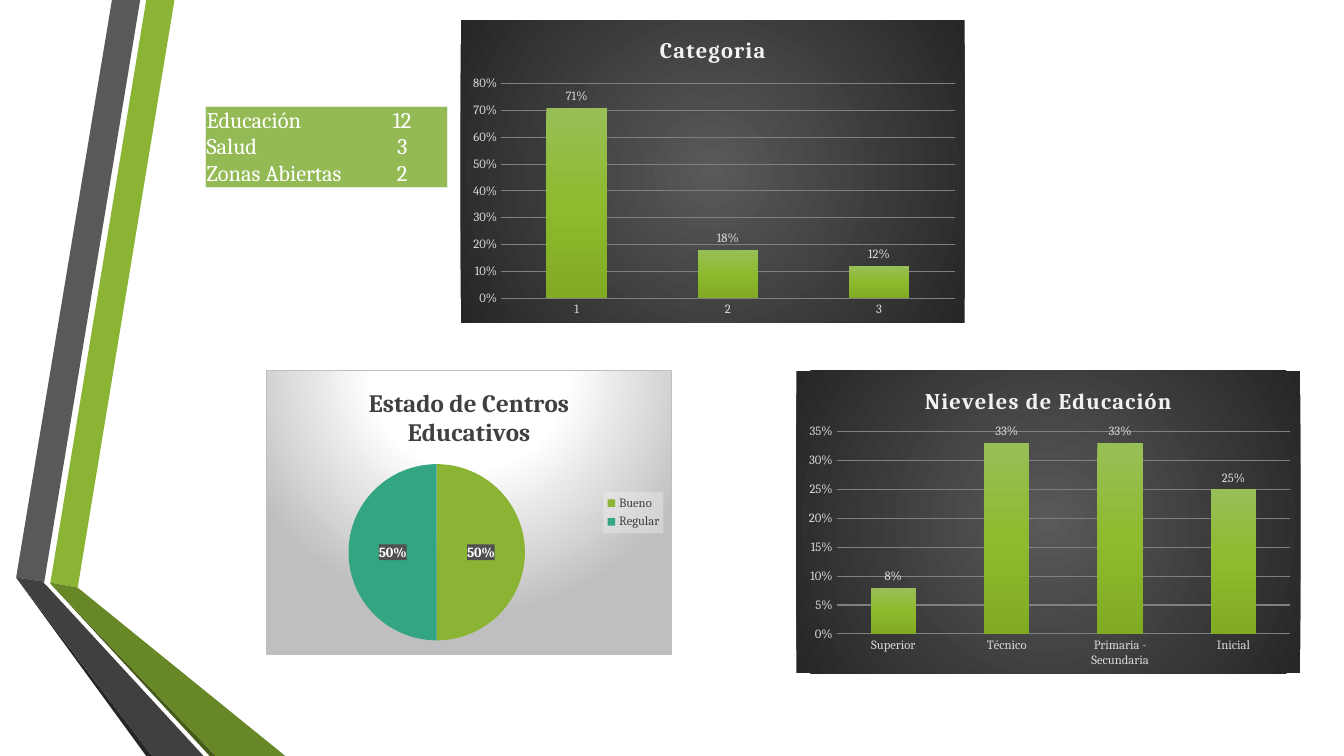
from lxml import etree
from pptx import Presentation
from pptx.chart.data import CategoryChartData
from pptx.dml.color import RGBColor
from pptx.enum.chart import XL_CHART_TYPE, XL_LABEL_POSITION, XL_LEGEND_POSITION, XL_TICK_MARK
from pptx.enum.text import MSO_ANCHOR, PP_ALIGN
from pptx.oxml import parse_xml
from pptx.oxml.ns import nsdecls, qn
from pptx.util import Inches, Pt

WHITE = RGBColor(0xFF, 0xFF, 0xFF)
PALE_GREEN = RGBColor(0xE4, 0xEC, 0xDC)
TABLE_GREEN = RGBColor(0x94, 0xBA, 0x55)
GREEN = RGBColor(0x8B, 0xB4, 0x34)
SHADE_GREEN = RGBColor(0x68, 0x87, 0x27)
DEEP_GREEN = RGBColor(0x46, 0x5A, 0x1A)
TEAL = RGBColor(0x33, 0xA5, 0x83)
MIST = RGBColor(0xF2, 0xF2, 0xF2)
LIGHT_GRAY = RGBColor(0xD9, 0xD9, 0xD9)
SILVER = RGBColor(0xBF, 0xBF, 0xBF)
GRID_GRAY = RGBColor(0x80, 0x80, 0x80)
GRAY = RGBColor(0x59, 0x59, 0x59)
LABEL_GRAY = RGBColor(0x50, 0x50, 0x50)
CHARCOAL = RGBColor(0x40, 0x40, 0x40)
NEAR_BLACK = RGBColor(0x26, 0x26, 0x26)
BAR_STOPS = [(0, RGBColor(0x98, 0xBF, 0x57)), (50, RGBColor(0x8D, 0xBA, 0x2E)),
             (100, RGBColor(0x80, 0xAB, 0x23))]
DARK_STOPS = [(0, GRAY), (100, NEAR_BLACK)]
LIGHT_STOPS = [(0, WHITE), (39, WHITE), (100, SILVER)]


def solid(color, alpha=100):
    return (f'<a:solidFill><a:srgbClr val="{color}"><a:alpha val="{alpha * 1000}"/>'
            '</a:srgbClr></a:solidFill>')


def gradient(stops, focus=None):
    """Radial towards focus (left, top, right, bottom in percent), else downwards."""
    marks = "".join(f'<a:gs pos="{at * 1000}"><a:srgbClr val="{color}"/></a:gs>'
                    for at, color in stops)
    if focus:
        sides = " ".join(f'{side}="{share * 1000}"' for side, share in zip("ltrb", focus))
        course = f'<a:path path="circle"><a:fillToRect {sides}/></a:path>'
    else:
        course = '<a:lin ang="5400000" scaled="0"/>'
    return f'<a:gradFill rotWithShape="1"><a:gsLst>{marks}</a:gsLst>{course}</a:gradFill>'


def outline(color=None, tag="a:ln"):
    paint = solid(color) if color else "<a:noFill/>"
    return f'<{tag} w="{Pt(0.75)}">{paint}</{tag}>'


def chart_format(content):
    return parse_xml(f'<c:spPr {nsdecls("c", "a")}>{content}</c:spPr>')


class Board:
    """One slide; all places and lengths are percent of its width or height."""

    def __init__(self, deck, face):
        self.deck, self.face = deck, face
        self.shapes = deck.slides.add_slide(deck.slide_layouts[6]).shapes

    def x(self, share):
        return round(self.deck.slide_width * share / 100)

    def y(self, share):
        return round(self.deck.slide_height * share / 100)

    def box(self, left, top, width, height):
        return self.x(left), self.y(top), self.x(width), self.y(height)

    def set_font(self, font, size, color, bold=False):
        font.name, font.size, font.bold = self.face, Pt(size), bold
        font.color.rgb = color

    def ribbon(self, color, corners):
        start, *others = [(self.x(across), self.y(down)) for across, down in corners]
        builder = self.shapes.build_freeform(*start, scale=1.0)
        builder.add_line_segments(others, close=True)
        band = builder.convert_to_shape()
        band.shadow.inherit = False
        band.fill.solid()
        band.fill.fore_color.rgb = color
        band.line.fill.background()

    def table(self, left, top, widths, row_height, rows):
        grid = self.shapes.add_table(
            len(rows), len(widths),
            *self.box(left, top, sum(widths), row_height * len(rows))).table
        grid.first_row = grid.horz_banding = False
        for column, width in zip(grid.columns, widths):
            column.width = self.x(width)
        for r, row in enumerate(rows):
            grid.rows[r].height = self.y(row_height)
            for c, text in enumerate(row):
                edges = {"L": c == 0, "R": c == len(row) - 1,
                         "T": r == 0, "B": r == len(rows) - 1}
                self.cell(grid.cell(r, c), text, edges, PP_ALIGN.CENTER if c else PP_ALIGN.LEFT)

    def cell(self, cell, text, edges, alignment):
        cell.text = text
        cell.vertical_anchor = MSO_ANCHOR.MIDDLE
        cell.margin_left = cell.margin_right = cell.margin_top = Inches(0.01)
        cell.margin_bottom = 0
        line = cell.text_frame.paragraphs[0]
        line.alignment = alignment
        self.set_font(line.font, 16, WHITE)
        properties = cell._tc.get_or_add_tcPr()
        for side, outer in edges.items():
            border = outline(PALE_GREEN if outer else None, f"a:ln{side}")
            properties.append(parse_xml(border.replace(" w=", f' {nsdecls("a")} w=', 1)))
        cell.fill.solid()
        cell.fill.fore_color.rgb = TABLE_GREEN

    def chart(self, kind, place, title, title_style, points, number_format, backdrop, plot_box):
        """Add a titled chart; plot_box is left, top, width, height as shares of the chart."""
        data = CategoryChartData(number_format=number_format)
        data.categories = list(points)
        data.add_series("Series 1", points.values())
        chart = self.shapes.add_chart(kind, *self.box(*place), data).chart
        self.set_font(chart.font, 10, RGBColor(0, 0, 0))
        chart.has_title, chart.has_legend = True, False
        heading = chart.chart_title.text_frame
        heading.text = title
        self.set_font(heading.paragraphs[0].font, *title_style, bold=True)
        chart._chartSpace.find(qn("c:chart")).addnext(chart_format(backdrop))
        area = chart._chartSpace.find(".//" + qn("c:plotArea"))
        for old in area.findall(qn("c:layout")):
            area.remove(old)
        sizes = "".join(f'<c:{name} val="{share}"/>' for name, share in zip("xywh", plot_box))
        area.insert(0, parse_xml(
            f'<c:layout {nsdecls("c")}><c:manualLayout><c:layoutTarget val="inner"/>'
            f'<c:xMode val="edge"/><c:yMode val="edge"/>{sizes}</c:manualLayout></c:layout>'))
        return chart

    def labels(self, plot, position, size, color, bold=False):
        plot.has_data_labels = True
        labels = plot.data_labels
        labels.number_format, labels.number_format_is_linked = "0%", False
        labels.position = position
        self.set_font(labels.font, size, color, bold)
        return labels

    def columns(self, place, title, points, top, step, plot_box):
        chart = self.chart(XL_CHART_TYPE.COLUMN_CLUSTERED, place, title, (16, MIST), points, "0%",
                           gradient(DARK_STOPS, (50, 50, 50, 50)) + outline(), plot_box)
        chart.chart_title.text_frame.paragraphs[0].font._element.set("spc", "100")
        for axis in (chart.category_axis, chart.value_axis):
            axis.major_tick_mark = axis.minor_tick_mark = XL_TICK_MARK.NONE
            axis.format.line.fill.background()
            self.set_font(axis.tick_labels.font, 9, LIGHT_GRAY)
        scale = chart.value_axis
        scale.minimum_scale, scale.maximum_scale, scale.major_unit = 0, top, step
        scale.tick_labels.number_format = "0%"
        scale.tick_labels.number_format_is_linked = False
        scale.major_gridlines.format.line.color.rgb = GRID_GRAY
        scale.major_gridlines.format.line.width = Pt(0.75)
        plot = chart.plots[0]
        plot.gap_width, plot.vary_by_categories = 150, False
        bars = etree.tostring(chart_format(gradient(BAR_STOPS)))
        plot.series[0]._element.get_or_add_spPr().append(parse_xml(bars)[0])
        self.labels(plot, XL_LABEL_POSITION.OUTSIDE_END, 9, LIGHT_GRAY).show_value = True

    def pie(self, place, title, points, colors, plot_box):
        chart = self.chart(XL_CHART_TYPE.PIE, place, title, (18, CHARCOAL), points, "General",
                           gradient(LIGHT_STOPS, (50, -80, 50, 180)) + outline(SILVER), plot_box)
        plot = chart.plots[0]
        for i, color in enumerate(colors):
            wedge = plot.series[0].points[i].format
            wedge.fill.solid()
            wedge.fill.fore_color.rgb = color
            wedge.line.fill.background()
        labels = self.labels(plot, XL_LABEL_POSITION.CENTER, 10, WHITE, bold=True)
        labels.show_percentage, labels.show_value = True, False
        chart.has_legend = True
        legend = chart.legend
        legend.position, legend.include_in_layout = XL_LEGEND_POSITION.RIGHT, False
        self.set_font(legend.font, 9, CHARCOAL)
        for part, paint in ((labels, solid(LABEL_GRAY)), (legend, solid(MIST, 39))):
            part._element.find(qn("c:txPr")).addprevious(chart_format(paint))


def main():
    deck = Presentation()
    deck.slide_width, deck.slide_height = Inches(13.33), Inches(7.5)
    board = Board(deck, "Cambria")

    board.ribbon(GREEN, [(3.75, 77.07), (5.78, 77.73), (12.98, 0), (10.88, 0)])
    board.ribbon(GRAY, [(10.43, 0), (8.33, 0), (1.2, 76.4), (3.3, 76.93)])
    board.ribbon(NEAR_BLACK, [(1.2, 76.4), (10.88, 100), (11.33, 100)])
    board.ribbon(DEEP_GREEN, [(3.75, 77.2), (15.6, 100), (16.05, 100)])
    board.ribbon(SHADE_GREEN, [(3.75, 77.2), (16.05, 100), (21.23, 100), (5.78, 77.73),
                               (3.75, 77.07)])
    board.ribbon(CHARCOAL, [(15.15, 100), (3.6, 77.73), (3.23, 77.07), (3.3, 76.93),
                            (1.2, 76.4), (11.33, 100)])

    board.columns((34.28, 2.67, 37.5, 40), "Categoria", {"1": 0.71, "2": 0.18, "3": 0.12},
                  0.8, 0.1, (0.08, 0.21, 0.9, 0.71))
    board.pie((19.8, 48.93, 30.22, 37.73), "Estado de Centros Educativos",
              {"Bueno": 50, "Regular": 50}, (GREEN, TEAL), (0.2, 0.33, 0.44, 0.62))
    board.columns((59.25, 49.07, 37.5, 40), "Nieveles de Educación",
                  {"Superior": 0.08, "Técnico": 0.33, "Primaria - Secundaria": 0.33,
                   "Inicial": 0.25},
                  0.35, 0.05, (0.08, 0.2, 0.9, 0.67))
    board.table(15.3, 14.13, (11.25, 6.75), 3.53,
                [("Educación", "12"), ("Salud", "3"), ("Zonas Abiertas", "2")])
    deck.save("out.pptx")


if __name__ == "__main__":
    main()
